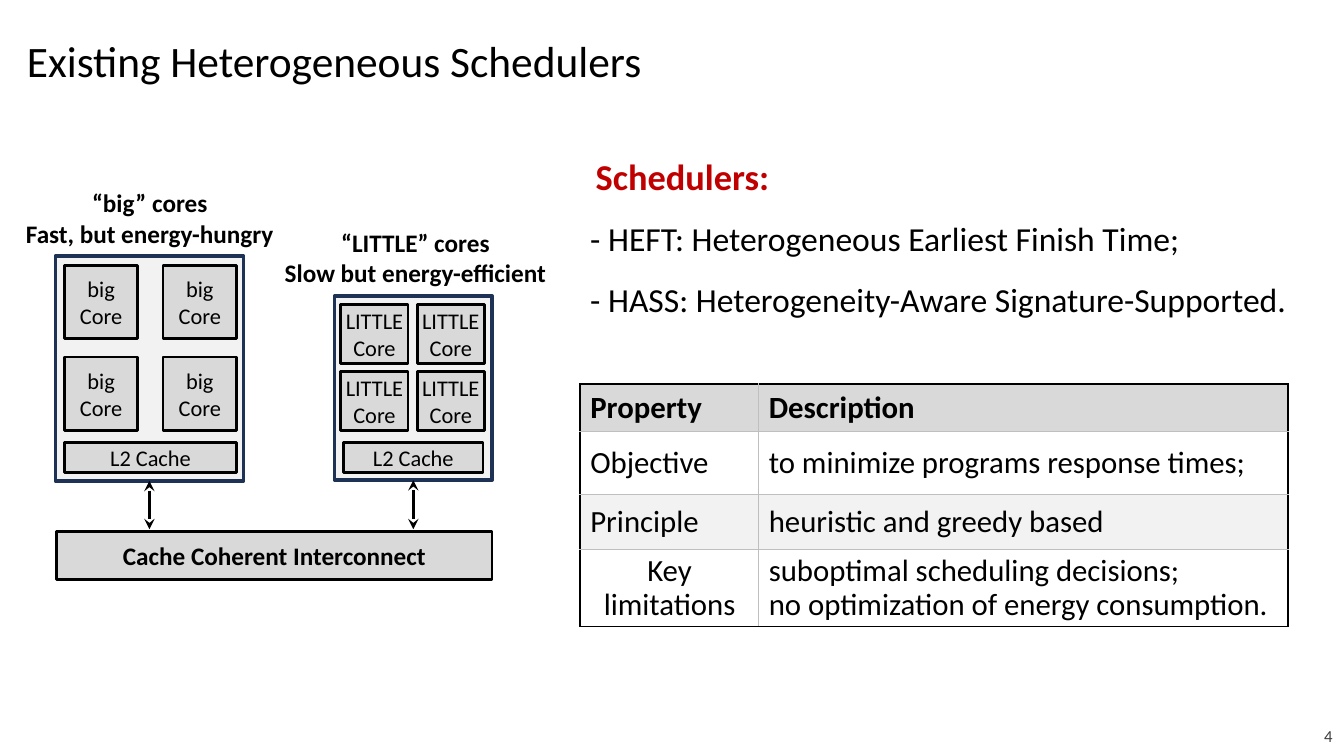
from dataclasses import dataclass
from itertools import product

from lxml import etree
from pptx import Presentation
from pptx.dml.color import RGBColor
from pptx.enum.shapes import MSO_CONNECTOR, MSO_SHAPE
from pptx.enum.text import MSO_ANCHOR, MSO_AUTO_SIZE, PP_ALIGN
from pptx.oxml.ns import qn
from pptx.util import Pt

LEFT, CENTER, RIGHT = PP_ALIGN.LEFT, PP_ALIGN.CENTER, PP_ALIGN.RIGHT
TOP, MIDDLE = MSO_ANCHOR.TOP, MSO_ANCHOR.MIDDLE
RECTANGLE, STRAIGHT = MSO_SHAPE.RECTANGLE, MSO_CONNECTOR.STRAIGHT
NO_AUTOFIT = MSO_AUTO_SIZE.NONE

BLACK = RGBColor(0x00, 0x00, 0x00)
NAVY = RGBColor(0x1E, 0x32, 0x56)
RED = RGBColor(0xC0, 0x00, 0x00)
DARK_GREY = RGBColor(0x3F, 0x3F, 0x3F)
RULE_GREY = RGBColor(0xBF, 0xBF, 0xBF)
GREY = RGBColor(0xD9, 0xD9, 0xD9)
PALE = RGBColor(0xF2, 0xF2, 0xF2)
FONT = "Calibri"
BOTTOM_SITE = 2


@dataclass(frozen=True)
class Box:
    x: float
    y: float
    w: float
    h: float

    @property
    def lengths(self) -> tuple:
        return Pt(self.x), Pt(self.y), Pt(self.w), Pt(self.h)


@dataclass(frozen=True)
class Style:
    size: float
    color: RGBColor = BLACK
    bold: bool = False
    align: PP_ALIGN = LEFT
    spacing: float = 1.0


@dataclass(frozen=True)
class Cluster:
    kind: str
    caption: tuple[str, str]
    caption_box: Box
    frame: Box
    first_core: Box
    step_x: float
    step_y: float
    cache: Box


CORE_STYLE = Style(16, align=CENTER)
CAPTION_STYLE = Style(18, bold=True, align=CENTER)

CLUSTERS = (
    Cluster("big", ("“big” cores", "Fast, but energy-hungry"),
            Box(10, 130.5, 194, 51), Box(39.5, 183, 134.5, 160.5),
            Box(46, 189.5, 52.5, 52.5), 70.5, 65.5, Box(46, 316, 123, 21.5)),
    Cluster("LITTLE", ("“LITTLE” cores", "Slow but energy-efficient"),
            Box(194.5, 159, 204.5, 51), Box(239, 211.5, 112.5, 131.5),
            Box(243.5, 217.5, 48, 42), 54.5, 48, Box(245.5, 316, 99.5, 21.5)),
)
INTERCONNECT = Box(40.5, 379.5, 311, 34.5)

TABLE_BOX = Box(414.5, 274.5, 505.5, 173)
COLUMN_WIDTHS = (127.5, 378)
ROW_HEIGHTS = (34, 45, 39, 55)
ROW_FILLS = (GREY, None, PALE, None)
TABLE_ROWS = (
    (("Property",), ("Description",)),
    (("Objective",), ("to minimize programs response times;",)),
    (("Principle",), ("heuristic and greedy based",)),
    (("Key limitations",),
     ("suboptimal scheduling decisions;", "no optimization of energy consumption.")),
)


def write(tf, lines: tuple, style: Style, anchor=TOP) -> None:
    tf.vertical_anchor = anchor
    for i, line in enumerate(lines):
        p = tf.add_paragraph() if i else tf.paragraphs[0]
        p.alignment, p.line_spacing = style.align, style.spacing
        r = p.add_run()
        r.text = line
        r.font.name, r.font.size = FONT, Pt(style.size)
        r.font.bold, r.font.color.rgb = style.bold, style.color


def set_margins(tf, horizontal: float, vertical: float) -> None:
    tf.margin_left = tf.margin_right = Pt(horizontal)
    tf.margin_top = tf.margin_bottom = Pt(vertical)


def add_text(shapes, box: Box, lines: tuple, style: Style, anchor=TOP, wrap=True):
    tf = shapes.add_textbox(*box.lengths).text_frame
    tf.word_wrap = wrap
    write(tf, lines, style, anchor)
    return tf


def add_block(shapes, box: Box, lines: tuple = (), style: Style = CORE_STYLE,
              fill: RGBColor = GREY, line: RGBColor = BLACK, width: float = 2):
    sp = shapes.add_shape(RECTANGLE, *box.lengths)
    sp.shadow.inherit = False
    sp.fill.solid()
    sp.fill.fore_color.rgb = fill
    sp.line.color.rgb, sp.line.width = line, Pt(width)
    set_margins(sp.text_frame, 1, 0)
    write(sp.text_frame, lines, style, MIDDLE)
    return sp


def add_double_arrow(shapes, frame) -> None:
    x = frame.left + frame.width // 2
    cxn = shapes.add_connector(STRAIGHT, x, frame.top + frame.height, x, Pt(378))
    cxn.begin_connect(frame, BOTTOM_SITE)
    cxn.line.color.rgb, cxn.line.width = BLACK, Pt(2.5)
    ln = cxn.line._get_or_add_ln()
    for end in ("a:headEnd", "a:tailEnd"):
        etree.SubElement(ln, qn(end), type="stealth")
    etree.SubElement(cxn._element.spPr, qn("a:effectLst"))


def add_cluster(shapes, cluster: Cluster) -> None:
    frame = add_block(shapes, cluster.frame, fill=PALE, line=NAVY, width=2.5)
    add_text(shapes, cluster.caption_box, cluster.caption, CAPTION_STYLE, wrap=False)
    core = cluster.first_core
    for row, col in product(range(2), repeat=2):
        box = Box(core.x + col * cluster.step_x, core.y + row * cluster.step_y,
                  core.w, core.h)
        add_block(shapes, box, (cluster.kind, "Core"))
    add_block(shapes, cluster.cache, ("L2 Cache",))
    add_double_arrow(shapes, frame)


def set_borders(cell, outer_sides: dict[str, bool]) -> None:
    tc_pr = cell._tc.get_or_add_tcPr()
    for side, outer in outer_sides.items():
        width, color = (1.5, BLACK) if outer else (1, RULE_GREY)
        ln = etree.SubElement(tc_pr, qn(f"a:ln{side}"), w=str(Pt(width)))
        fill = etree.SubElement(ln, qn("a:solidFill"))
        etree.SubElement(fill, qn("a:srgbClr"), val=str(color))


def add_property_table(shapes) -> None:
    last_row, last_col = len(TABLE_ROWS) - 1, len(COLUMN_WIDTHS) - 1
    table = shapes.add_table(last_row + 1, last_col + 1, *TABLE_BOX.lengths).table
    for column, width in zip(table.columns, COLUMN_WIDTHS):
        column.width = Pt(width)
    for i, texts in enumerate(TABLE_ROWS):
        table.rows[i].height = Pt(ROW_HEIGHTS[i])
        for j, lines in enumerate(texts):
            cell = table.cell(i, j)
            set_borders(cell, {"L": j == 0, "R": j == last_col,
                               "T": i == 0, "B": i == last_row})
            if ROW_FILLS[i] is None:
                cell.fill.background()
            else:
                cell.fill.solid()
                cell.fill.fore_color.rgb = ROW_FILLS[i]
            cell.vertical_anchor = MIDDLE
            align = CENTER if i == last_row and j == 0 else LEFT
            spacing = 0.9 if i == last_row else 1.0
            write(cell.text_frame, lines, Style(22, bold=i == 0, align=align,
                                                spacing=spacing), MIDDLE)


def main() -> None:
    prs = Presentation()
    prs.slide_width, prs.slide_height = Pt(960), Pt(540)
    slide = prs.slides.add_slide(prs.slide_layouts[5])
    shapes = slide.shapes

    # Title and slide number
    title = shapes.title
    title.left, title.top, title.width, title.height = Box(12, 21, 539.5, 39).lengths
    title.text_frame.auto_size = NO_AUTOFIT
    write(title.text_frame, ("Existing Heterogeneous Schedulers",), Style(31))
    add_text(shapes, Box(743, 511, 216, 29), ("4",),
             Style(12, DARK_GREY, align=RIGHT), MIDDLE)

    # Scheduler list
    heading = add_text(shapes, Box(425.5, 110, 250, 39), ("Schedulers:",),
                       Style(26, RED, bold=True))
    set_margins(heading, 3.6, 0)
    heading.margin_left = 3 * 0
    add_text(shapes, Box(414.5, 138, 521.5, 90),
             ("- HEFT: Heterogeneous Earliest Finish Time;",
              "- HASS: Heterogeneity-Aware Signature-Supported."),
             Style(24, spacing=1.5))

    # Property table
    add_property_table(shapes)

    # Processor diagram
    for cluster in CLUSTERS:
        add_cluster(shapes, cluster)
    add_block(shapes, INTERCONNECT, ("Cache Coherent Interconnect",), CAPTION_STYLE)

    prs.save("out.pptx")


if __name__ == "__main__":
    main()
